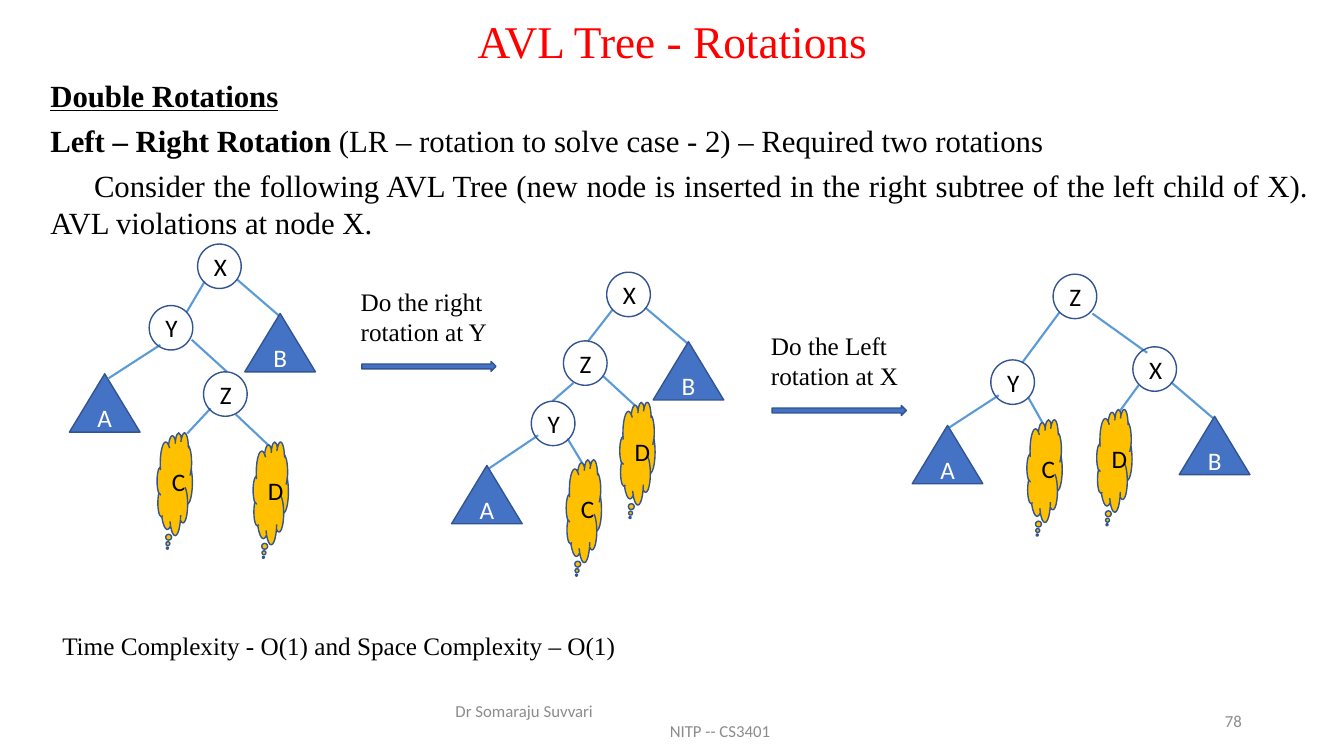
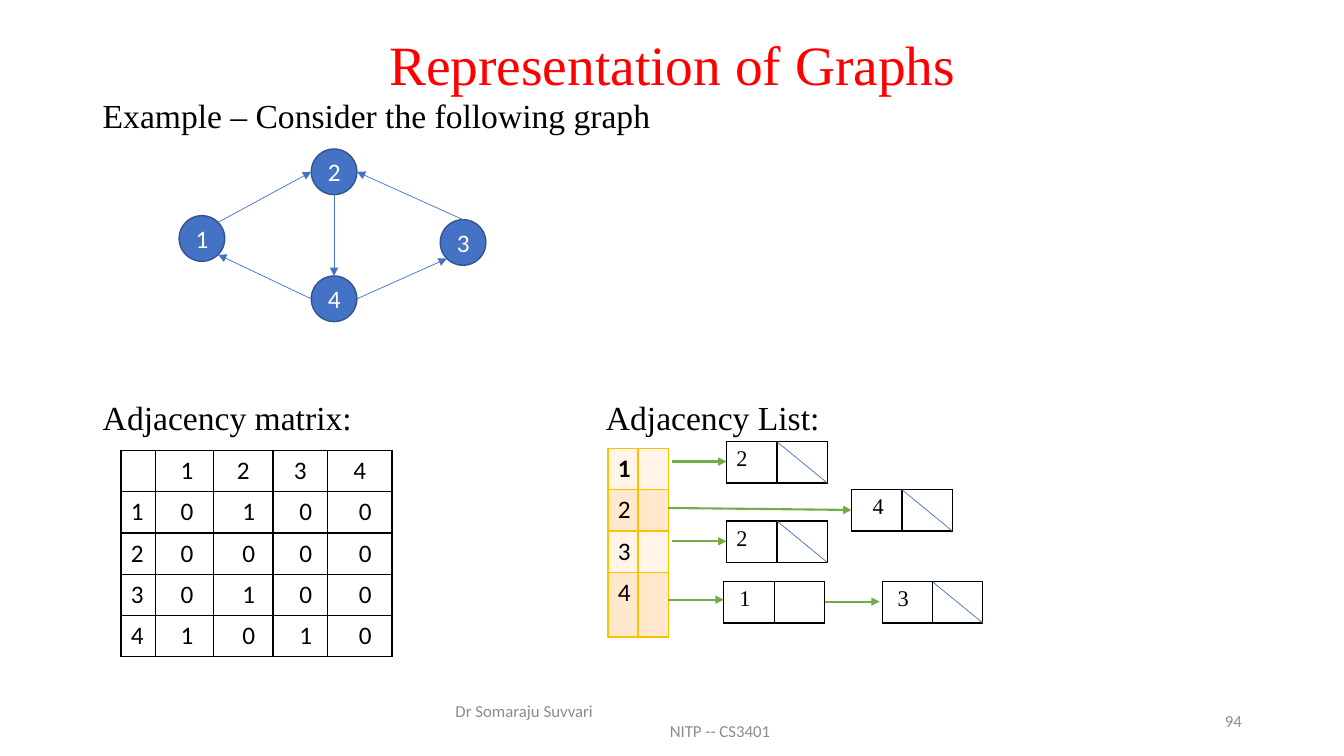
import math
from dataclasses import dataclass
from typing import Any, Optional

import lxml.etree
import pptx
import pptx.dml.color
import pptx.enum.shapes
import pptx.enum.text
import pptx.oxml.ns
import pptx.util

Cm = pptx.util.Cm
Kind = pptx.enum.shapes.MSO_SHAPE
Align = pptx.enum.text.PP_ALIGN
Mid = pptx.enum.text.MSO_ANCHOR.MIDDLE
qn = pptx.oxml.ns.qn
Point = tuple[float, float]
Edge = tuple[float, float, float, float]


@dataclass(frozen=True)
class Theme:
    serif: str = "Times New Roman"
    sans: str = "Calibri"
    red: str = "FF0000"
    black: str = "000000"
    white: str = "FFFFFF"
    grey: str = "8C8C8C"
    blue: str = "4472C4"
    navy: str = "325491"
    sky: str = "5B9BD5"
    gold: str = "FFC000"
    green: str = "70AD47"
    cream: str = "FFF4E7"
    peach: str = "FFE8CC"
    small: float = 12
    cell: float = 16
    base: float = 18
    body: float = 22
    lead: float = 24


T = Theme()


@dataclass(frozen=True)
class Form:
    kind: Any
    wide: float
    high: float
    fill: Optional[str]
    ink: str


RING = Form(Kind.OVAL, 1.1, 1.12, None, T.black)
CONE = Form(Kind.ISOSCELES_TRIANGLE, 1.78, 1.47, T.blue, T.white)
CLOUD = Form(Kind.CLOUD_CALLOUT, 0.89, 2.59, T.gold, T.black)
DISC = Form(Kind.OVAL, 1.15, 1.15, T.blue, T.white)
ARROW = Form(Kind.RIGHT_ARROW, 3.38, 0.25, T.blue, T.white)
FORMS = {"X": RING, "Y": RING, "Z": RING, "A": CONE, "B": CONE, "C": CLOUD, "D": CLOUD}


@dataclass(frozen=True)
class Tree:
    spots: dict[str, Point]
    edges: list[Edge]


@dataclass(frozen=True)
class Step:
    text: str
    x: float
    y: float


@dataclass(frozen=True)
class Link:
    text: str
    x: float
    y: float
    pad: float = 0
    last: bool = True


TREES = [
    Tree({"X": (4.98, 6.15), "Y": (3.76, 7.7), "Z": (5.13, 9.37), "A": (1.75, 9.42),
          "B": (6.17, 7.9), "C": (3.96, 10.9), "D": (6.38, 11.13)},
         [(5.16, 7.09, 4.7, 7.87), (4.83, 8.56, 5.72, 9.37), (5.97, 7.04, 7.06, 7.98),
          (4.04, 8.69, 2.74, 9.53), (5.94, 10.44, 6.83, 11.28), (5.31, 10.29, 4.72, 10.92)]),
    Tree({"X": (15.29, 6.86), "Y": (13.39, 10.11), "Z": (14.2, 8.59), "A": (11.38, 11.73),
          "B": (16.46, 8.61), "C": (14.27, 11.58), "D": (15.62, 10.13)},
         [(15.44, 7.8, 14.81, 8.61), (16.26, 7.75, 17.37, 8.69), (13.56, 10.97, 12.27, 11.84),
          (15.19, 9.47, 16.08, 10.29), (14.3, 11.05, 14.71, 11.73), (14.45, 9.65, 13.92, 10.11)]),
    Tree({"X": (28.55, 8.74), "Y": (24.97, 9.07), "Z": (26.54, 6.91), "A": (22.99, 10.72),
          "B": (29.72, 10.49), "C": (25.88, 10.57), "D": (27.64, 10.31)},
         [(26.7, 7.87, 25.76, 9.14), (29.51, 9.63, 30.61, 10.57), (25.17, 9.96, 23.88, 10.8),
          (28.7, 9.7, 28.22, 10.36), (25.91, 10.01, 26.31, 10.72), (27.53, 7.9, 28.91, 8.89)]),
]
STEPS = [Step("Do the right rotation at Y", 8.84, 7.09),
         Step("Do the Left rotation at X", 19.18, 8.2)]
DISCS = {"2": (8.42, 4.33), "4": (8.42, 7.53), "3": (11.67, 6.11), "1": (5.09, 6.01)}
ARCS = [("1", -45, "2", 180), ("4", 0, "3", 135), ("3", -90, "2", 0),
        ("4", 180, "1", 45), ("2", 90, "4", -90)]
GRID = [["", "1", "2", "3", "4"], ["1", "0", "1", "0", "0"], ["2", "0", "0", "0", "0"],
        ["3", "0", "1", "0", "0"], ["4", "1", "0", "1", "0"]]
LINKS = [Link("2", 18.31, 11.13), Link("4", 21.46, 12.34, 0.28), Link("2", 18.31, 13.13),
         Link("1", 18.24, 14.66, 0.14, False), Link("3", 22.23, 14.66, 0.14)]
JUMPS = [(16.94, 11.63, 18.31, 11.63), (16.84, 12.8, 21.46, 12.85), (16.94, 13.64, 18.31, 13.64),
         (16.84, 15.11, 18.24, 15.11), (20.78, 15.16, 22.17, 15.16)]
ROW = 1.04
HALF = 1.27
PAD = 0.25


def tint(code: str) -> Any:
    return pptx.dml.color.RGBColor.from_string(code)


def style(para: Any, size: float, ink: str = T.black, face: str = T.serif) -> None:
    for run in para.runs:
        run.font.size = pptx.util.Pt(size)
        run.font.name = face
        run.font.color.rgb = tint(ink)


def note(slide: Any, text: str, x: float, y: float, wide: float, high: float, size: float,
         ink: str = T.black, face: str = T.serif, align: Any = Align.LEFT,
         space: float = 1.0, mid: bool = False) -> Any:
    frame = slide.shapes.add_textbox(Cm(x), Cm(y), Cm(wide), Cm(high)).text_frame
    frame.word_wrap = True
    if mid:
        frame.vertical_anchor = Mid
    frame.text = text
    for para in frame.paragraphs:
        para.alignment = align
        para.line_spacing = space
        style(para, size, ink, face)
    return frame


def put(slide: Any, form: Form, x: float, y: float, text: str = "") -> None:
    shape = slide.shapes.add_shape(form.kind, Cm(x), Cm(y), Cm(form.wide), Cm(form.high))
    shape.shadow.inherit = False
    if form.fill:
        shape.fill.solid()
        shape.fill.fore_color.rgb = tint(form.fill)
    else:
        shape.fill.background()
    shape.line.color.rgb = tint(T.navy)
    shape.line.width = pptx.util.Pt(1)
    if text:
        shape.text_frame.text = text
        para = shape.text_frame.paragraphs[0]
        para.alignment = Align.CENTER
        style(para, T.base, form.ink, T.sans)


def draw(slide: Any, edge: Edge, ink: str, thick: float, tip: bool = False) -> None:
    line = slide.shapes.add_connector(pptx.enum.shapes.MSO_CONNECTOR.STRAIGHT,
                                      *(Cm(end) for end in edge))
    line.line.color.rgb = tint(ink)
    line.line.width = pptx.util.Pt(thick)
    props = line._element.spPr
    if tip:
        lxml.etree.SubElement(props.find(qn("a:ln")), qn("a:tailEnd"), type="triangle")
    lxml.etree.SubElement(props, qn("a:effectLst"))


def frame_cell(cell: Any, ink: str, fill: Optional[str]) -> None:
    props = cell._tc.get_or_add_tcPr()
    for side in "LRTB":
        line = lxml.etree.SubElement(props, qn(f"a:ln{side}"), w="12700")
        solid = lxml.etree.SubElement(line, qn("a:solidFill"))
        lxml.etree.SubElement(solid, qn("a:srgbClr"), val=ink)
    if fill:
        cell.fill.solid()
        cell.fill.fore_color.rgb = tint(fill)
    else:
        cell.fill.background()


def table(slide: Any, x: float, y: float, cols: list[float], rows: list[float],
          texts: list[list[str]], ink: str, fills: list[Optional[str]],
          size: float = T.base, face: str = T.sans) -> Any:
    grid = slide.shapes.add_table(len(rows), len(cols), Cm(x), Cm(y),
                                  Cm(sum(cols)), Cm(sum(rows))).table
    grid.first_row = grid.horz_banding = False
    for col, wide in zip(grid.columns, cols):
        col.width = Cm(wide)
    for r, high in enumerate(rows):
        grid.rows[r].height = Cm(high)
        for c, text in enumerate(texts[r]):
            cell = grid.cell(r, c)
            frame_cell(cell, ink, fills[r % len(fills)])
            cell.margin_left, cell.margin_right = Cm(PAD), Cm(0)
            if text:
                cell.text = text
                style(cell.text_frame.paragraphs[0], size, T.black, face)
    return grid


def indent(para: Any, name: str, size: float) -> None:
    para._p.get_or_add_pPr().set(name, str(int(Cm(size))))


def start(deck: Any, title: str, y: float, size: float, page: str) -> Any:
    slide = deck.slides.add_slide(deck.slide_layouts[6])
    note(slide, title, 2.34, y, 29.21, 1.37, size, T.red,
         align=Align.CENTER, space=0.9, mid=True)
    foot = note(slide, "Dr Somaraju Suvvari\nNITP -- CS3401", 11.23, 17.65, 11.43, 1.02,
                T.small, T.grey, T.sans, mid=True)
    indent(foot.paragraphs[1], "marL", 5.4)
    note(slide, page, 23.93, 17.65, 7.62, 1.02, T.small, T.grey, T.sans, Align.RIGHT, mid=True)
    return slide


def turns(deck: Any) -> None:
    slide = start(deck, "AVL Tree - Rotations", 0.43, 32.4, "78")
    body = note(slide, "Double Rotations\nLeft – Right Rotation \n"
                "Consider the following AVL Tree (new node is inserted in the right subtree "
                "of the left child of X). AVL violations at node X.",
                1.02, 1.8, 32.21, 4.3, T.body, align=Align.JUSTIFY)
    head, sub, text = body.paragraphs
    head.runs[0].font.bold = head.runs[0].font.underline = True
    sub.add_run().text = "(LR – rotation to solve case - 2) – Required two rotations"
    style(sub, T.body)
    sub.runs[0].font.bold = True
    sub.space_before = text.space_before = pptx.util.Pt(6)
    indent(text, "indent", 1.1)
    for tree in TREES:
        for edge in tree.edges:
            draw(slide, edge, T.sky, 1.5)
        for name, spot in tree.spots.items():
            put(slide, FORMS[name], *spot, name)
    for step in STEPS:
        note(slide, step.text, step.x, step.y, 3.94, 1.8, T.base)
        put(slide, ARROW, step.x + 0.28, step.y + 2.02)
    note(slide, "Time Complexity - O(1) and Space Complexity – O(1)",
         1.32, 15.75, 16.94, 1.02, T.base, align=Align.JUSTIFY)


def rim(name: str, angle: float) -> Point:
    x, y = DISCS[name]
    turn, reach = math.radians(angle), DISC.wide / 2
    return x + reach * math.cos(turn), y + reach * math.sin(turn)


def graphs(deck: Any) -> None:
    slide = start(deck, "Representation of Graphs", 1.02, 39.6, "94")
    for text, x, y, wide in [("Example – Consider the following graph", 2.34, 2.39, 29.21),
                             ("Adjacency matrix:", 2.34, 10, 10),
                             ("Adjacency List:", 15.02, 10, 10)]:
        note(slide, text, x, y, wide, 1.2, T.lead, space=0.9)
    for name, (x, y) in DISCS.items():
        put(slide, DISC, x - DISC.wide / 2, y - DISC.high / 2, name)
    for tail, out, head, back in ARCS:
        draw(slide, (*rim(tail, out), *rim(head, back)), T.blue, 0.5, True)

    grid = table(slide, 3.05, 11.35, [0.86, 1.47, 1.5, 1.37, 1.63], [ROW] * 5,
                 GRID, T.black, [None])
    for r in range(5):
        for c in range(1, 5):
            cell = grid.cell(r, c)
            shift = 0.14 if c == 1 else 0.28 if r else 0
            cell.margin_left, cell.margin_right = Cm(PAD + shift), Cm(PAD)
            cell.text_frame.paragraphs[0].alignment = Align.CENTER

    heads = table(slide, 15.32, 11.3, [0.76, 0.76], [ROW, ROW, ROW, 1.63],
                  [[name, ""] for name in "1234"], T.gold, [T.cream, T.peach])
    heads.cell(0, 0).text_frame.paragraphs[0].runs[0].font.bold = True
    for link in LINKS:
        pair = table(slide, link.x, link.y, [HALF, HALF], [ROW], [[link.text, ""]],
                     T.black, [T.white], T.cell, T.serif)
        pair.cell(0, 0).margin_left = Cm(PAD + link.pad)
        if link.last:
            draw(slide, (link.x + HALF, link.y, link.x + 2 * HALF, link.y + ROW), T.blue, 0.5)
    for jump in JUMPS:
        draw(slide, jump, T.green, 1.5, True)


def main() -> None:
    deck = pptx.Presentation()
    deck.slide_width, deck.slide_height = Cm(33.87), Cm(19.05)
    turns(deck)
    graphs(deck)
    deck.save("out.pptx")


if __name__ == "__main__":
    main()
